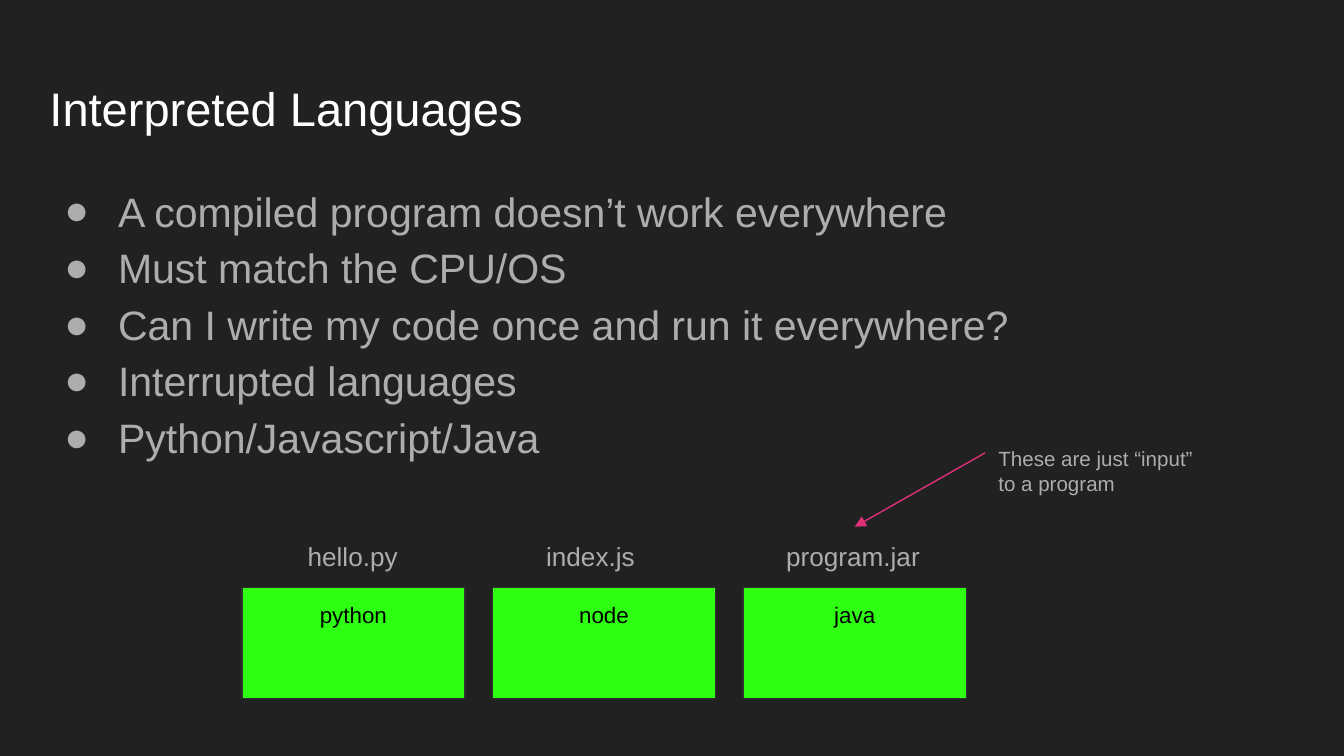
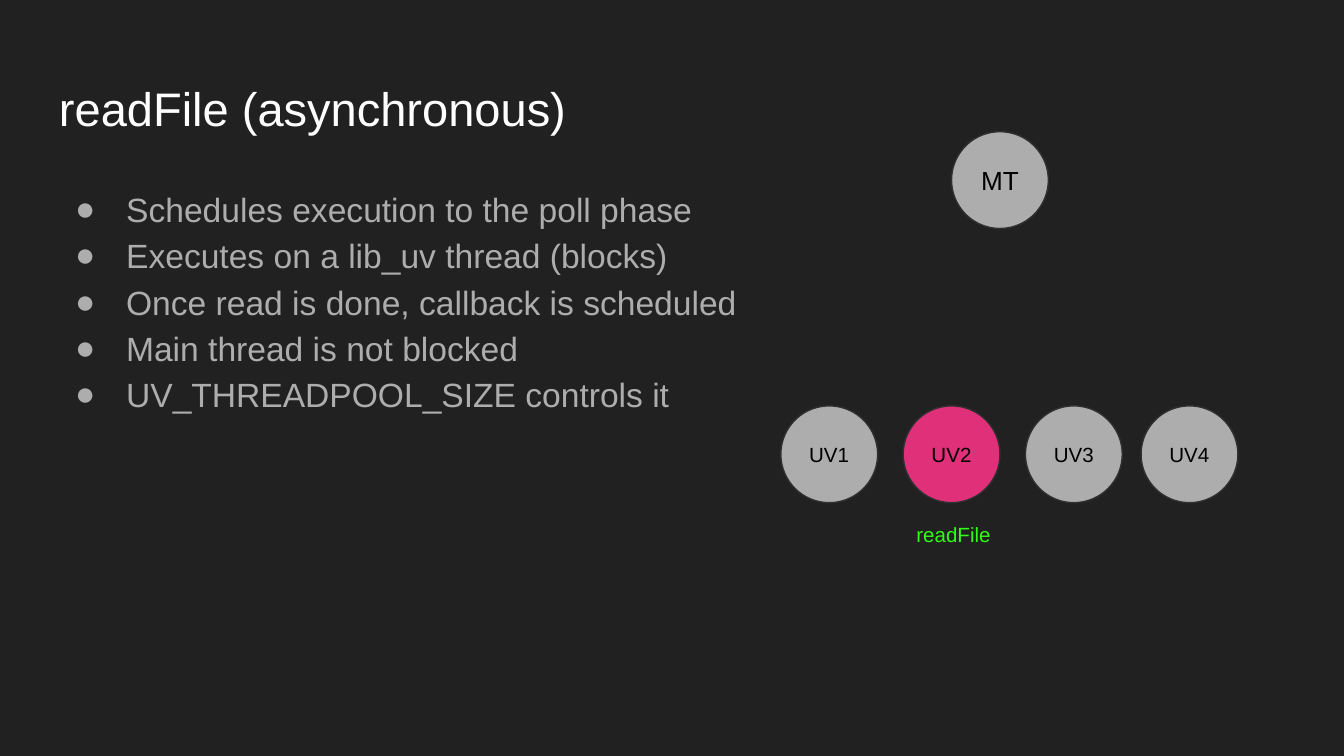
from lxml import etree
from pptx import Presentation
from pptx.dml.color import RGBColor
from pptx.enum.shapes import MSO_CONNECTOR, MSO_SHAPE
from pptx.enum.text import MSO_ANCHOR, PP_ALIGN
from pptx.oxml.ns import qn
from pptx.util import Inches, Pt

BACKGROUND = RGBColor(0x21, 0x21, 0x21)
WHITE = RGBColor(0xFF, 0xFF, 0xFF)
BLACK = RGBColor(0x00, 0x00, 0x00)
GRAY = RGBColor(0xAD, 0xAD, 0xAD)
OUTLINE = RGBColor(0x30, 0x30, 0x30)
GREEN = RGBColor(0x2F, 0xFF, 0x12)
PINK = RGBColor(0xDF, 0x30, 0x79)

RECTANGLE, OVAL = MSO_SHAPE.RECTANGLE, MSO_SHAPE.OVAL
STRAIGHT = MSO_CONNECTOR.STRAIGHT
TOP, MIDDLE = MSO_ANCHOR.TOP, MSO_ANCHOR.MIDDLE
LEFT, CENTER = PP_ALIGN.LEFT, PP_ALIGN.CENTER

SLIDE_WIDTH = Inches(10)
SLIDE_HEIGHT = SLIDE_WIDTH * 9 // 16
FONT = "Arial"
TITLE_SIZE = 25.2
LINE_WIDTH = Pt(0.75)
FRAME_FORMAT = {
    "word_wrap": True,
    "margin_left": Inches(0.1),
    "margin_top": Inches(0.1),
    "margin_right": Inches(0.1),
    "margin_bottom": Inches(0.1),
}


def apply_format(target, values):
    for name, value in values.items():
        setattr(target, name, value)


def write_text(shape, lines, size, color, align=LEFT, anchor=TOP):
    """Fill a shape with one paragraph per line and return the paragraphs."""
    frame = shape.text_frame
    apply_format(frame, {**FRAME_FORMAT, "vertical_anchor": anchor})
    frame.text = "\n".join(lines)
    for para in frame.paragraphs:
        para.alignment = align
        for span in para.runs:
            apply_format(span.font, {"name": FONT, "size": Pt(size)})
            span.font.color.rgb = color
    return frame.paragraphs


def add_text(page, box, lines, size, color):
    shape = page.shapes.add_textbox(*map(Inches, box))
    return write_text(shape, lines, size, color)


def add_bullets(page, box, lines, size, hanging):
    for para in add_text(page, box, lines, size, GRAY):
        para.line_spacing = 1.15
        properties = para._p.get_or_add_pPr()
        properties.set("marL", str(Inches(0.5)))
        properties.set("indent", str(-Inches(hanging)))
        bullet_color = etree.SubElement(properties, qn("a:buClr"))
        etree.SubElement(bullet_color, qn("a:srgbClr"), val=str(GRAY))
        etree.SubElement(properties, qn("a:buFont"), typeface=FONT)
        etree.SubElement(properties, qn("a:buChar"), char="●")


def add_node(page, kind, box, label, size, fill, anchor):
    """Add an outlined shape with a centred black label."""
    node = page.shapes.add_shape(kind, *map(Inches, box))
    node.shadow.inherit = False
    node.fill.solid()
    node.fill.fore_color.rgb = fill
    node.line.color.rgb = OUTLINE
    node.line.width = LINE_WIDTH
    write_text(node, [label], size, BLACK, CENTER, anchor)


def add_arrow(page, start, end):
    arrow = page.shapes.add_connector(STRAIGHT, *map(Inches, start + end))
    arrow.line.color.rgb = PINK
    arrow.line.width = LINE_WIDTH
    etree.SubElement(arrow.line._get_or_add_ln(), qn("a:tailEnd"), type="triangle")
    etree.SubElement(arrow._element.spPr, qn("a:effectLst"))


def add_page(deck, title, title_box):
    page = deck.slides.add_slide(deck.slide_layouts[6])
    page.background.fill.solid()
    page.background.fill.fore_color.rgb = BACKGROUND
    add_text(page, title_box, [title], TITLE_SIZE, WHITE)
    return page


def add_runtimes(page, left, top, row_width):
    """Draw a row of runtimes, each under the file that it runs."""
    width, height = 1.66, 0.83
    runtimes = [
        ("python", "hello.py", 0.39, 0.92),
        ("node", "index.js", 0.3, 0.92),
        ("java", "program.jar", 0.22, 1.22),
    ]
    pitch = (row_width - width) / (len(runtimes) - 1)
    for index, (runtime, file_name, offset, label_width) in enumerate(runtimes):
        x = left + index * pitch
        add_text(page, (x + offset, top, label_width, 0.3), [file_name], 14, GRAY)
        add_node(page, RECTANGLE, (x, top + 0.45, width, height), runtime, 12, GREEN, TOP)


def add_input_note(page, left, top):
    add_text(page, (left, top, 1.66, 0.3), ["These are just “input” to a program"], 11, GRAY)
    add_arrow(page, (left, top + 0.15), (left - 0.97, top + 0.7))


def add_threads(page, left, top):
    """Draw the main thread above the row of pool threads."""
    size, busy = 0.72, "UV2"
    add_node(page, OVAL, (left + 1.27, top, size, size), "MT", 14, GRAY, MIDDLE)
    pool_top = top + 2.04
    for number, offset in enumerate((0, 0.91, 1.82, 2.68), start=1):
        label, x = f"UV{number}", left + offset
        fill = PINK if label == busy else GRAY
        add_node(page, OVAL, (x, pool_top, size, size), label, 11, fill, MIDDLE)
        if label == busy:
            add_text(page, (x, pool_top + 0.77, 1.26, 0.49), ["readFile"], 11, GREEN)


def build_languages(deck):
    page = add_page(deck, "Interpreted Languages", (0.27, 0.49, 5.86, 0.63))
    add_bullets(page, (0.28, 1.23, 10.62, 2.29), [
        "A compiled program doesn’t work everywhere",
        "Must match the CPU/OS",
        "Can I write my code once and run it everywhere?",
        "Interrupted languages",
        "Python/Javascript/Java",
    ], 22, 0.4)
    add_runtimes(page, 1.8, 3.92, 5.39)
    add_input_note(page, 7.33, 3.22)


def build_read_file(deck):
    page = add_page(deck, "readFile (asynchronous)", (0.34, 0.49, 9.32, 0.63))
    add_bullets(page, (0.34, 1.26, 5.41, 3.74), [
        "Schedules execution to the poll phase",
        "Executes on a lib_uv thread (blocks)",
        "Once read is done, callback is scheduled",
        "Main thread is not blocked",
        "UV_THREADPOOL_SIZE controls it",
    ], 18, 0.38)
    add_threads(page, 5.81, 0.98)


def main():
    deck = Presentation()
    apply_format(deck, {"slide_width": SLIDE_WIDTH, "slide_height": SLIDE_HEIGHT})
    build_languages(deck)
    build_read_file(deck)
    deck.save("out.pptx")


if __name__ == "__main__":
    main()
